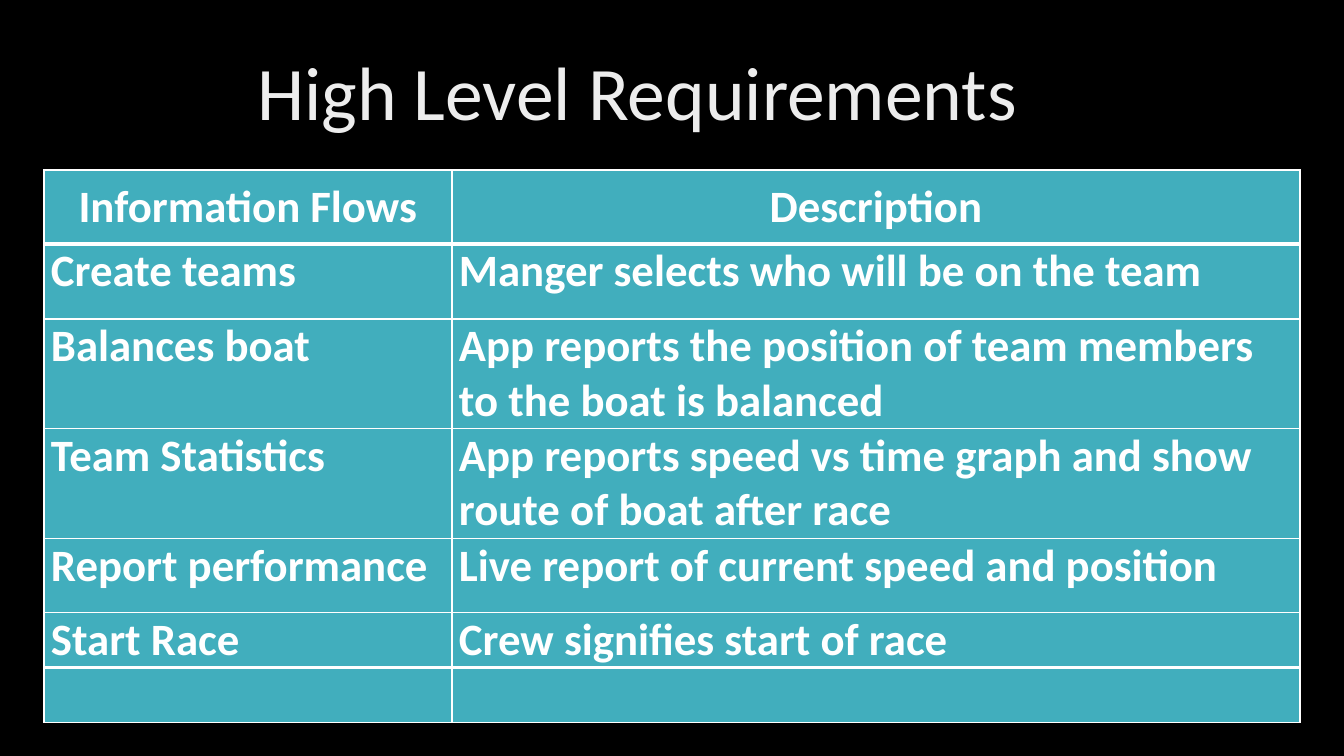
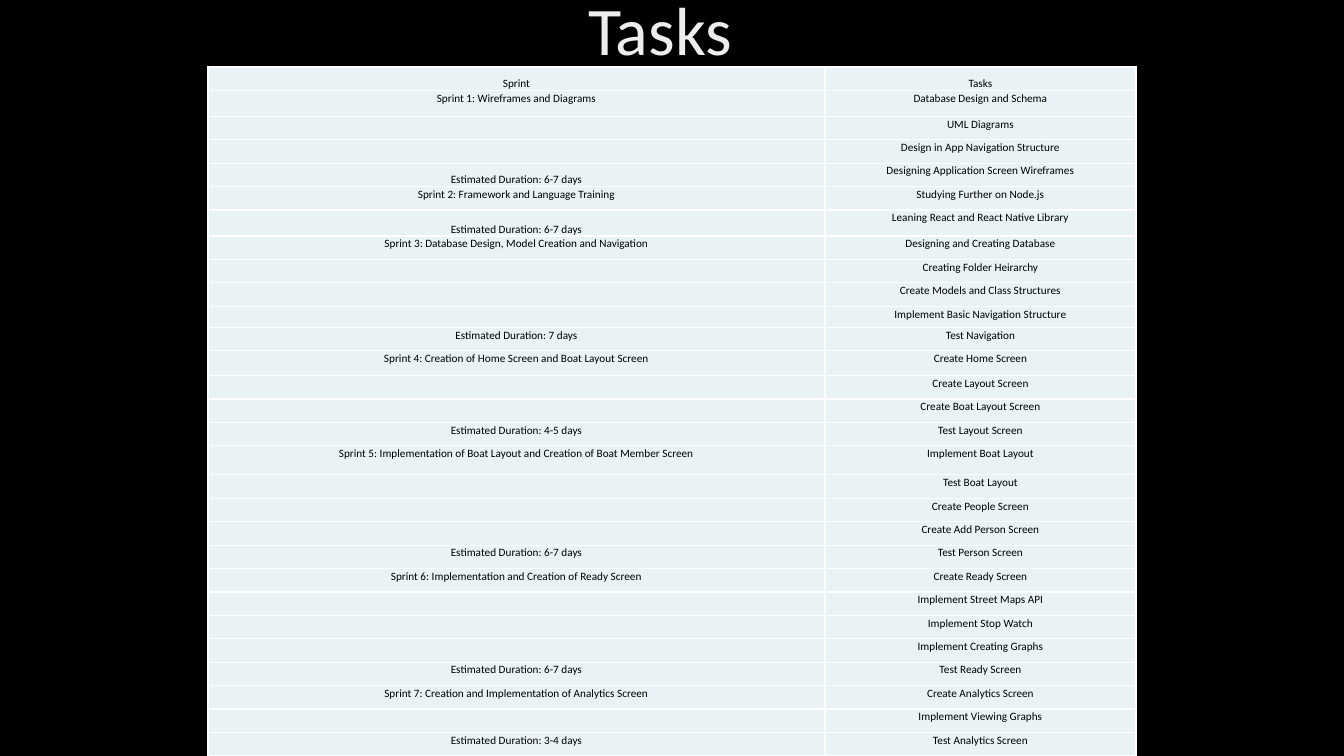
from lxml.etree import SubElement
from pptx import Presentation
from pptx.dml.color import RGBColor
from pptx.enum.text import MSO_ANCHOR, MSO_AUTO_SIZE, PP_ALIGN
from pptx.oxml.ns import qn
from pptx.util import Emu, Pt

SLIDE_WIDTH, SLIDE_HEIGHT = 1344, 756
EMU_PER_PX = 12192000 / SLIDE_WIDTH
FONT = "Calibri"
TITLE_ONLY = 5
COLORS = {
    "background": "000000",
    "title": "EDEDED",
    "border": "FFFFFF",
    "teal": "41AEBD",
    "pale": "E9F2F4",
    "light_text": "FFFFFF",
    "dark_text": "000000",
}

REQUIREMENTS = [
    ("Information Flows", "Description"),
    ("Create teams", "Manger selects who will be on the team"),
    ("Balances boat", "App reports the position of team members to the boat is balanced"),
    ("Team Statistics", "App reports speed vs time graph and show route of boat after race"),
    ("Report performance", "Live report of current speed and position"),
    ("Start Race", "Crew signifies start of race"),
    ("", ""),
]

# Each sprint: name, estimated duration, tasks
SPRINTS = [
    ("Wireframes and Diagrams", "6-7 days",
     ["Database Design and Schema", "UML Diagrams", "Design in App Navigation Structure",
      "Designing Application Screen Wireframes"]),
    ("Framework and Language Training", "6-7 days",
     ["Studying Further on Node.js", "Leaning React and React Native Library"]),
    ("Database Design, Model Creation and Navigation", "7 days",
     ["Designing and Creating Database", "Creating Folder Heirarchy",
      "Create Models and Class Structures", "Implement Basic Navigation Structure",
      "Test Navigation"]),
    ("Creation of Home Screen and Boat Layout Screen", "4-5 days",
     ["Create Home Screen", "Create Layout Screen", "Create Boat Layout Screen",
      "Test Layout Screen"]),
    ("Implementation of Boat Layout and Creation of Boat Member Screen", "6-7 days",
     ["Implement Boat Layout", "Test Boat Layout", "Create People Screen",
      "Create Add Person Screen", "Test Person Screen"]),
    ("Implementation and Creation of Ready Screen", "6-7 days",
     ["Create Ready Screen", "Implement Street Maps API", "Implement Stop Watch",
      "Implement Creating Graphs", "Test Ready Screen"]),
    ("Creation and Implementation of Analytics Screen", "3-4 days",
     ["Create Analytics Screen", "Implement Viewing Graphs", "Test Analytics Screen"]),
]


def px(length):
    return Emu(round(length * EMU_PER_PX))


def color(name):
    return RGBColor.from_string(COLORS[name])


def write_text(text_frame, text, *, size, text_color, bold=False,
               align=PP_ALIGN.LEFT, line_spacing=None):
    paragraph = text_frame.paragraphs[0]
    paragraph.alignment = align
    paragraph.line_spacing = line_spacing
    if not text:
        # An empty cell still takes its line height from this size
        paragraph._p.get_or_add_endParaRPr().set("sz", str(size * 100))
        return
    run = paragraph.add_run()
    run.text = text
    run.font.name = FONT
    run.font.size = Pt(size)
    run.font.bold = bold
    run.font.color.rgb = color(text_color)


def add_titled_slide(presentation, text, box, size):
    slide = presentation.slides.add_slide(presentation.slide_layouts[TITLE_ONLY])
    title = slide.shapes.title
    title.left, title.top, title.width, title.height = map(px, box)
    title.text_frame.auto_size = MSO_AUTO_SIZE.NONE
    title.text_frame.vertical_anchor = MSO_ANCHOR.MIDDLE
    write_text(title.text_frame, text, size=size, text_color="title", line_spacing=0.9)
    return slide


def set_borders(cell, top=1, bottom=1):
    properties = cell._tc.get_or_add_tcPr()
    widths = {"a:lnL": 1, "a:lnR": 1, "a:lnT": top, "a:lnB": bottom}
    for index, (tag, width) in enumerate(widths.items()):
        line = SubElement(properties, qn(tag), w=str(Pt(width)))
        fill = SubElement(line, qn("a:solidFill"))
        SubElement(fill, qn("a:srgbClr"), val=COLORS["border"])
        properties.insert(index, line)  # borders come before the cell fill


def add_grid(slide, rows, box, column_widths, row_heights, *, fill, margins, cell_format):
    """Add a table; cell_format(row, column) gives anchor, borders and text format."""
    table = slide.shapes.add_table(len(rows), len(column_widths), *map(px, box)).table
    table.first_row = table.horz_banding = False
    for column, width in zip(table.columns, column_widths):
        column.width = px(width)
    for row, height in zip(table.rows, row_heights):
        row.height = px(height)
    for row_index, texts in enumerate(rows):
        for column_index, text in enumerate(texts):
            cell = table.cell(row_index, column_index)
            anchor, borders, text_format = cell_format(row_index, column_index)
            cell.fill.solid()
            cell.fill.fore_color.rgb = color(fill)
            (cell.margin_left, cell.margin_top,
             cell.margin_right, cell.margin_bottom) = map(px, margins)
            cell.vertical_anchor = anchor
            set_borders(cell, **borders)
            write_text(cell.text_frame, text, **text_format)


def add_requirements_slide(presentation):
    slide = add_titled_slide(presentation, "High Level Requirements", (247, 23, 1097, 146), 54)
    column_widths = [408, 848]
    row_heights = [74, 75, 109, 110, 74, 55, 55]
    last = len(REQUIREMENTS) - 1

    def cell_format(row, column):
        # Thick rules below the header and above the last row
        borders = {"top": 3 if row in (1, last) else 1,
                   "bottom": 3 if row in (0, last - 1) else 1}
        anchor = MSO_ANCHOR.TOP if row else MSO_ANCHOR.MIDDLE
        align = PP_ALIGN.LEFT if row else PP_ALIGN.CENTER
        return anchor, borders, dict(size=32, text_color="light_text", bold=True, align=align)

    add_grid(slide, REQUIREMENTS, (44, 170, sum(column_widths), sum(row_heights)),
             column_widths, row_heights, fill="teal", margins=(7, 0, 7, 0),
             cell_format=cell_format)


def sprint_rows():
    rows = [("Sprint", "Tasks")]
    for number, (name, duration, tasks) in enumerate(SPRINTS, start=1):
        blanks = [""] * (len(tasks) - 2)
        labels = [f"Sprint {number}: {name}", *blanks, f"Estimated Duration: {duration}"]
        rows.extend(zip(labels, tasks))
    return rows


def add_tasks_slide(presentation):
    slide = add_titled_slide(presentation, "Tasks", (578, 0, 182, 67), 48.6)
    rows = sprint_rows()
    column_widths = [617, 311]
    top = 67
    height = SLIDE_HEIGHT - top
    # A few rows have their own height; the others share the rest equally
    special = {1: 26, 6: 26, 10: 21, 12: 25, 16: 29}
    shared = (height - sum(special.values())) / (len(rows) - len(special))
    row_heights = [special.get(index, shared) for index in range(len(rows))]
    bottom_cells = {(0, 0), (0, 1), (4, 0), (6, 0)}

    def cell_format(row, column):
        anchor = MSO_ANCHOR.BOTTOM if (row, column) in bottom_cells else MSO_ANCHOR.TOP
        return anchor, {}, dict(size=8, text_color="dark_text", align=PP_ALIGN.CENTER)

    add_grid(slide, rows, (208, top, sum(column_widths), height),
             column_widths, row_heights, fill="pale", margins=(1, 1, 1, 0),
             cell_format=cell_format)


def main():
    presentation = Presentation()
    presentation.slide_width, presentation.slide_height = px(SLIDE_WIDTH), px(SLIDE_HEIGHT)
    # Shared background
    background = presentation.slide_master.background.fill
    background.solid()
    background.fore_color.rgb = color("background")
    add_requirements_slide(presentation)
    add_tasks_slide(presentation)
    presentation.save("out.pptx")


if __name__ == "__main__":
    main()
